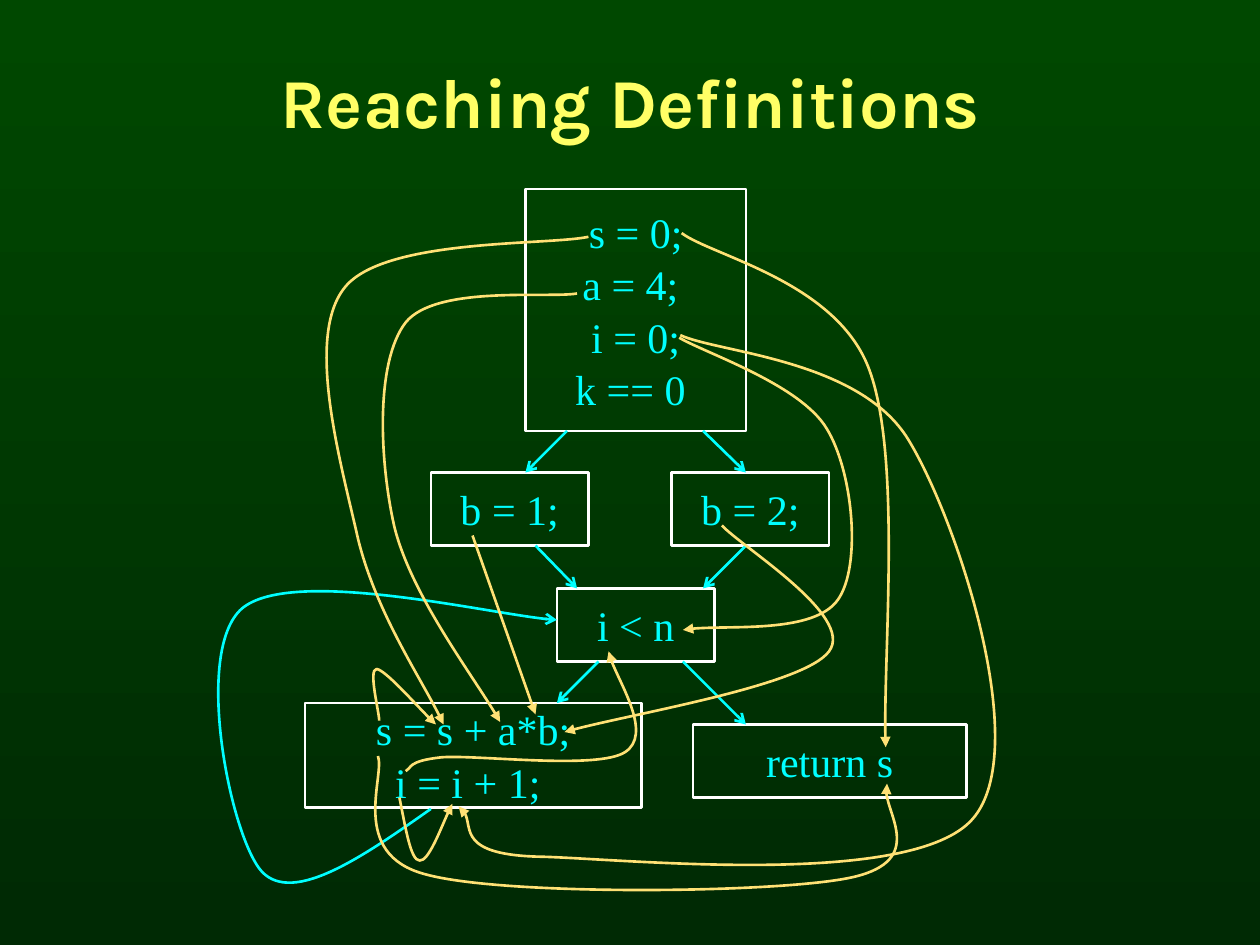
import pptx
import pptx.util
import pptx.dml.color
import pptx.enum.shapes
import pptx.enum.text
import pptx.oxml
import pptx.oxml.ns
import lxml.etree

WHITE, CYAN, GOLD, YELLOW = "FFFFFF", "00FFFF", "FFE175", "FFFF66"
TITLE = "Reaching Definitions"

# Basic blocks: left, top, width, height (inches), lines of code
BLOCKS = [
    (4.17, 1.5, 1.75, 1.92, [" s = 0; ", "a = 4; ", "i = 0;", "k == 0 "]),
    (3.42, 3.75, 1.25, 0.58, ["b = 1;"]),
    (5.33, 3.75, 1.25, 0.58, ["b = 2;"]),
    (4.42, 4.67, 1.25, 0.58, ["i < n"]),
    (2.42, 5.58, 2.67, 0.83, ["s = s + a*b;", "i = i + 1; "]),
    (5.5, 5.75, 2.17, 0.58, ["return s"]),
]

# Straight control flow: from, to
FLOW = [
    ((4.5, 3.42), (4.17, 3.75)), ((5.58, 3.42), (5.92, 3.75)),
    ((4.25, 4.33), (4.58, 4.67)), ((5.92, 4.33), (5.58, 4.67)),
    ((4.75, 5.25), (4.42, 5.58)), ((5.42, 5.25), (5.92, 5.75)),
]

# Curves: start, then two control points and an end for each part
LOOP = [(3.42, 6.42), (2.88, 6.8), (2.33, 7.18), (2.08, 6.92), (1.83, 6.65),
        (1.53, 5.17), (1.92, 4.83), (2.31, 4.5), (4, 4.9), (4.42, 4.92)]
B_USE = ((3.75, 4.25), (4.25, 5.67))
USES = [
    # s = 0 to s + a*b
    [(4.67, 1.88), (4.34, 1.95), (3.03, 1.89), (2.73, 2.29), (2.42, 2.69),
     (2.71, 3.69), (2.84, 4.27), (2.98, 4.85), (3.38, 5.44), (3.52, 5.75)],
    # a = 4 to s + a*b
    [(4.58, 2.33), (4.36, 2.37), (3.46, 2.26), (3.22, 2.56), (2.98, 2.87),
     (3.01, 3.65), (3.13, 4.18), (3.26, 4.71), (3.79, 5.41), (3.97, 5.73)],
    # i = 0 to i < n
    [(5.39, 2.68), (5.59, 2.8), (6.35, 3.05), (6.56, 3.4), (6.77, 3.74),
     (6.84, 4.49), (6.65, 4.76), (6.46, 5.03), (5.67, 4.95), (5.42, 5)],
    # i = 0 to i + 1
    [(5.4, 2.66), (5.7, 2.8), (6.82, 2.85), (7.21, 3.49), (7.6, 4.13),
     (8.2, 5.95), (7.72, 6.5), (7.24, 7.05), (4.99, 6.82), (4.31, 6.8),
     (3.63, 6.79), (3.78, 6.48), (3.64, 6.4)],
    # b = 2 to s + a*b
    [(5.73, 4.17), (5.87, 4.33), (6.79, 4.89), (6.58, 5.17),
     (6.38, 5.44), (4.92, 5.68), (4.48, 5.81)],
    # s to itself
    [(3.01, 5.72), (3.01, 5.65), (2.92, 5.31), (2.99, 5.31),
     (3.06, 5.32), (3.36, 5.66), (3.46, 5.75)],
    # i to itself
    [(3.17, 6.33), (3.22, 6.58), (3.26, 6.83), (3.33, 6.83),
     (3.4, 6.84), (3.54, 6.47), (3.59, 6.38)],
    # s to return s
    [(3, 6), (3.06, 6.16), (2.76, 6.78), (3.38, 6.94), (4, 7.11),
     (6.12, 7.09), (6.73, 6.97), (7.34, 6.85), (6.98, 6.38), (7.04, 6.22)],
    # s = 0 to return s
    [(5.41, 1.85), (5.65, 2.03), (6.62, 2.23), (6.89, 2.91),
     (7.16, 3.59), (7, 5.3), (7.03, 5.93)],
    # i to i < n
    [(3.22, 6.12), (3.27, 6.1), (3.22, 6.04), (3.51, 6.01), (3.8, 5.99),
     (4.74, 6.11), (4.96, 5.97), (5.18, 5.83), (4.86, 5.33), (4.83, 5.17)],
]


def size(*inches):
    return [pptx.util.Cm(2.54 * v) for v in inches]


def paint(part, color):
    part.color.rgb = pptx.dml.color.RGBColor.from_string(color)


def tag(name):
    return pptx.oxml.ns.qn("a:" + name)


def stroke(shape, color, head=None):
    shape.line.width = pptx.util.Pt(1.5)
    paint(shape.line, color)
    if head:
        end = lxml.etree.SubElement(shape.line._get_or_add_ln(), tag("tailEnd"))
        end.set("type", head)


def write(shape, lines, font, points, color, bold=False):
    frame = shape.text_frame
    frame.vertical_anchor = pptx.enum.text.MSO_ANCHOR.MIDDLE
    frame.text = "\n".join(lines)
    for para in frame.paragraphs:
        para.alignment = pptx.enum.text.PP_ALIGN.CENTER
        para.font.name, para.font.bold = font, bold
        para.font.size = pptx.util.Pt(points)
        paint(para.font, color)
    return frame


def arrow(start, end, color, head):
    line = shapes.add_connector(pptx.enum.shapes.MSO_CONNECTOR.STRAIGHT,
                                *size(*start, *end))
    stroke(line, color, head)
    lxml.etree.SubElement(line._element.spPr, tag("effectLst"))


def curve(points, color, head):
    form = shapes.build_freeform(*size(*points[0]))
    form.add_line_segments([size(*p) for p in points[1:]], close=False)
    shape = form.convert_to_shape()
    shape.shadow.inherit = False
    shape.fill.background()
    stroke(shape, color, head)
    # Join each three segments into one cubic curve
    steps = list(shape._element.iter(tag("lnTo")))
    for i in range(0, len(steps), 3):
        bend = lxml.etree.Element(tag("cubicBezTo"))
        steps[i].addprevious(bend)
        for step in steps[i:i + 3]:
            bend.append(step[0])
            step.getparent().remove(step)


deck = pptx.Presentation()
deck.slide_width, deck.slide_height = size(10, 7.5)
slide = deck.slides.add_slide(deck.slide_layouts[6])
shapes = slide.shapes

# Background
back = slide.background.fill
back.gradient()
back.gradient_angle = 270
for stop, (place, color) in zip(back.gradient_stops, [(0, "004800"), (1, "002A04")]):
    stop.position = place
    paint(stop, color)

# Title
title = shapes.add_textbox(*size(0.42, 0.17, 9.17, 1.25))
write(title, [TITLE], "Karla", 40, YELLOW, True).word_wrap = True

# Basic blocks
for *place, lines in BLOCKS:
    block = shapes.add_shape(pptx.enum.shapes.MSO_SHAPE.RECTANGLE, *size(*place))
    block.shadow.inherit = False
    block.fill.background()
    stroke(block, WHITE)
    frame = write(block, lines, "Times New Roman", 24, CYAN)
    frame.word_wrap = False
    for para in frame.paragraphs:
        para.space_before = pptx.util.Pt(1.2)

# Control flow
for start, end in FLOW:
    arrow(start, end, CYAN, "arrow")
curve(LOOP, CYAN, "arrow")

# Definitions to uses
arrow(*B_USE, GOLD, "triangle")
for points in USES:
    curve(points, GOLD, "triangle")

deck.save("out.pptx")
